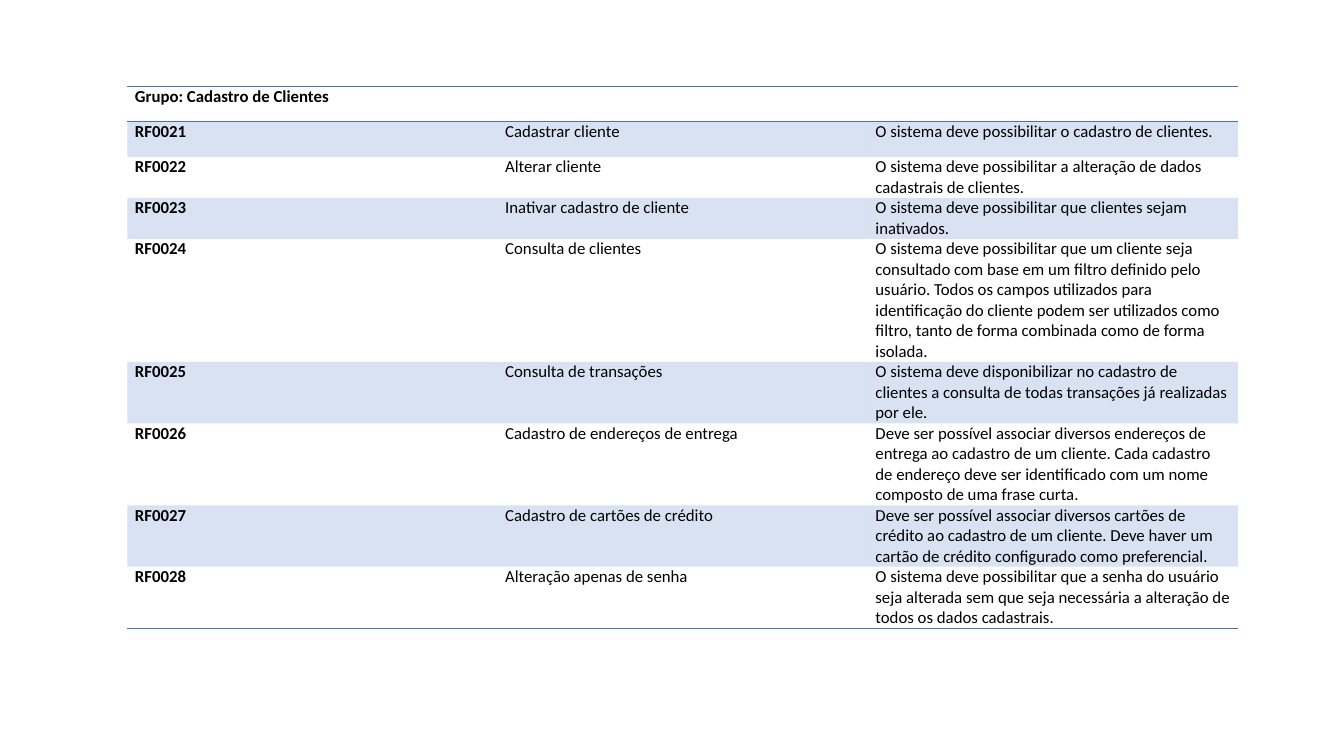
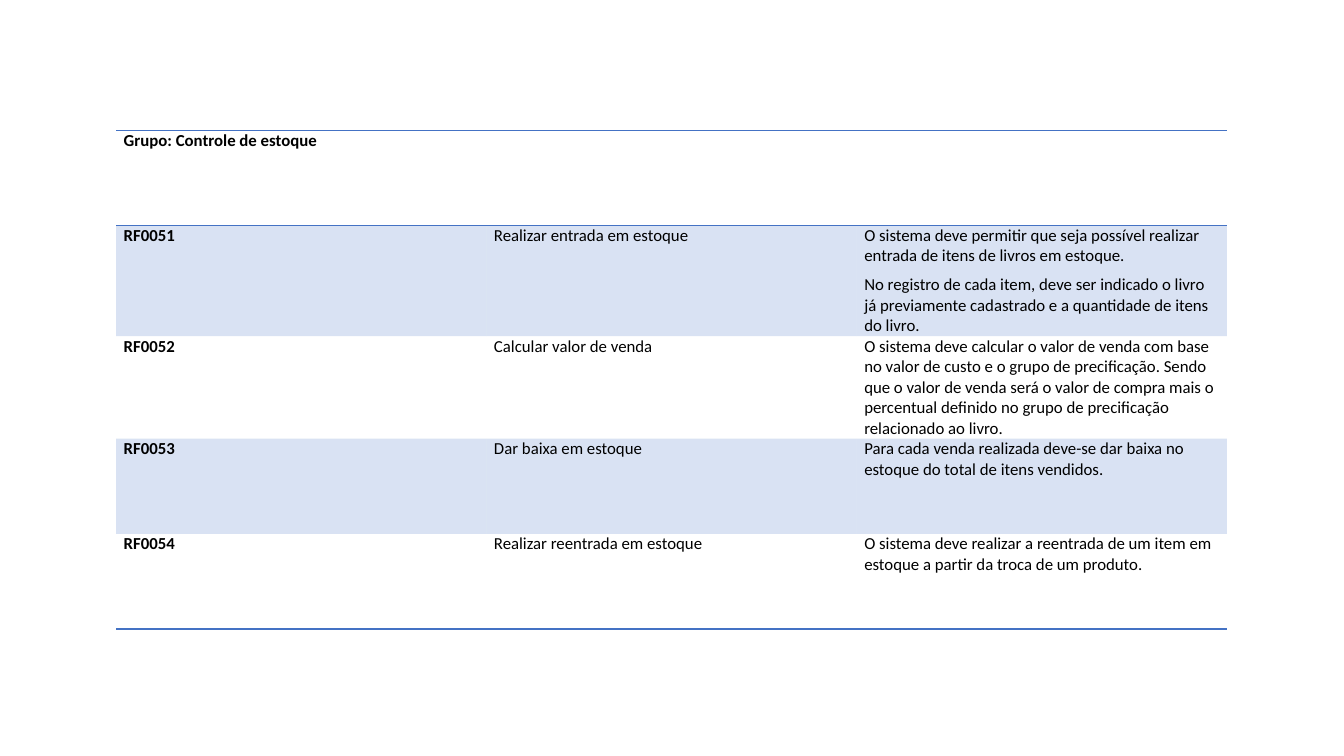
import lxml.etree
import pptx
import pptx.dml.color
import pptx.oxml.ns
import pptx.util

Pt = pptx.util.Pt
FONT = "Calibri"
TEXT_COLOR = "000000"
ACCENT = "4472C4"
BAND_OPACITY = 20
PLAIN_TABLE_STYLE = "{2D5ABB26-0587-4C30-8999-92F81FD0307C}"
COLUMN_COUNT = 3
COLUMN_WIDTH = 264.5

CUSTOMERS = {
    "group": "Grupo: Cadastro de Clientes",
    "left": 91,
    "top": 61.7,
    "heights": [25.2, 25.2, 25.2, 25.2, 75.6, 37.5, 50.4, 37.5, 37.5],
    "space_after": 0,
    "requirements": [
        ("RF0021", "Cadastrar cliente",
         ["O sistema deve possibilitar o cadastro de clientes."]),
        ("RF0022", "Alterar cliente",
         ["O sistema deve possibilitar a alteração de dados cadastrais de clientes."]),
        ("RF0023", "Inativar cadastro de cliente",
         ["O sistema deve possibilitar que clientes sejam inativados."]),
        ("RF0024", "Consulta de clientes",
         ["O sistema deve possibilitar que um cliente seja consultado com base em um "
          "filtro definido pelo usuário. Todos os campos utilizados para identificação "
          "do cliente podem ser utilizados como filtro, tanto de forma combinada como "
          "de forma isolada."]),
        ("RF0025", "Consulta de transações",
         ["O sistema deve disponibilizar no cadastro de clientes a consulta de todas "
          "transações já realizadas por ele."]),
        ("RF0026", "Cadastro de endereços de entrega",
         ["Deve ser possível associar diversos endereços de entrega ao cadastro de um "
          "cliente. Cada cadastro de endereço deve ser identificado com um nome "
          "composto de uma frase curta."]),
        ("RF0027", "Cadastro de cartões de crédito",
         ["Deve ser possível associar diversos cartões de crédito ao cadastro de um "
          "cliente. Deve haver um cartão de crédito configurado como preferencial."]),
        ("RF0028", "Alteração apenas de senha",
         ["O sistema deve possibilitar que a senha do usuário seja alterada sem que "
          "seja necessária a alteração de todos os dados cadastrais."]),
    ],
}

STOCK = {
    "group": "Grupo: Controle de estoque",
    "left": 83,
    "top": 93,
    "heights": [68] * 5,
    "space_after": 6,
    "requirements": [
        ("RF0051", "Realizar entrada em estoque",
         ["O sistema deve permitir que seja possível realizar entrada de itens de "
          "livros em estoque.",
          "No registro de cada item, deve ser indicado o livro já previamente "
          "cadastrado e a quantidade de itens do livro."]),
        ("RF0052", "Calcular valor de venda",
         ["O sistema deve calcular o valor de venda com base no valor de custo e o "
          "grupo de precificação. Sendo que o valor de venda será o valor de compra "
          "mais o percentual definido no grupo de precificação relacionado ao livro."]),
        ("RF0053", "Dar baixa em estoque",
         ["Para cada venda realizada deve-se dar baixa no estoque do total de itens "
          "vendidos."]),
        ("RF0054", "Realizar reentrada em estoque",
         ["O sistema deve realizar a reentrada de um item em estoque a partir da "
          "troca de um produto."]),
    ],
}


def set_color(color_format, hex_color):
    """Apply a hex string to a colour format."""
    color_format.rgb = pptx.dml.color.RGBColor.from_string(hex_color)


def add_element(parent, tag, **attributes):
    """Append a DrawingML element with the given attributes."""
    element = lxml.etree.SubElement(parent, pptx.oxml.ns.qn(tag))
    for name, value in attributes.items():
        element.set(name, str(value))
    return element


def write_text(cell, paragraphs, bold=False, size=12, color=TEXT_COLOR, space_after=0):
    """Fill a cell with formatted paragraphs and the shared margins."""
    cell.margin_left = cell.margin_right = Pt(5.4)
    cell.margin_top = cell.margin_bottom = Pt(0)
    cell.text_frame.text = "\n".join(paragraphs)
    for paragraph in cell.text_frame.paragraphs:
        paragraph.space_after = Pt(space_after)
        font = paragraph.runs[0].font
        font.name, font.size, font.bold = FONT, Pt(size), bold
        set_color(font.color, color)


def add_borders(cell, *sides):
    """Draw accent rules on the named sides of a cell."""
    properties = cell._tc.get_or_add_tcPr()
    for side in sides:
        line = add_element(properties, f"a:ln{side}", w=Pt(1))
        fill = add_element(line, "a:solidFill")
        add_element(fill, "a:srgbClr", val=ACCENT)


def fill_band(cell, banded):
    """Tint a banded cell and leave any other cell clear."""
    if not banded:
        cell.fill.background()
        return
    cell.fill.solid()
    set_color(cell.fill.fore_color, ACCENT)
    color = cell._tc.tcPr.find(".//" + pptx.oxml.ns.qn("a:solidFill") + "[last()]/"
                               + pptx.oxml.ns.qn("a:srgbClr"))
    add_element(color, "a:alpha", val=BAND_OPACITY * 1000)


def add_requirements_table(slide, group, left, top, heights, space_after, requirements):
    """Place a requirements table with its group heading at the given point."""
    frame = slide.shapes.add_table(
        len(heights), COLUMN_COUNT, Pt(left), Pt(top),
        Pt(COLUMN_WIDTH * COLUMN_COUNT), Pt(sum(heights)))
    table = frame.table
    table.first_row = table.horz_banding = False
    table._tbl.tblPr.find(pptx.oxml.ns.qn("a:tableStyleId")).text = PLAIN_TABLE_STYLE
    for column in table.columns:
        column.width = Pt(COLUMN_WIDTH)
    for row, height in zip(table.rows, heights):
        row.height = Pt(height)

    write_text(table.cell(0, 0), [group], bold=True, space_after=space_after)
    for index, (code, name, description) in enumerate(requirements, start=1):
        code_cell, name_cell, description_cell = table.rows[index].cells
        write_text(code_cell, [code], bold=True)
        write_text(name_cell, [name])
        write_text(description_cell, description, space_after=space_after)

    borders = {0: ("T", "B"), len(requirements): ("B",)}
    for index, row in enumerate(table.rows):
        for cell in row.cells:
            add_borders(cell, *borders.get(index, ()))
            fill_band(cell, index % 2 == 1)
    table.cell(0, 0).merge(table.cell(0, COLUMN_COUNT - 1))


def main():
    """Build and save the presentation."""
    presentation = pptx.Presentation()
    presentation.slide_width, presentation.slide_height = Pt(960), Pt(540)
    for content in (CUSTOMERS, STOCK):
        slide = presentation.slides.add_slide(presentation.slide_layouts[6])
        add_requirements_table(slide, **content)
    presentation.save("out.pptx")


if __name__ == "__main__":
    main()
